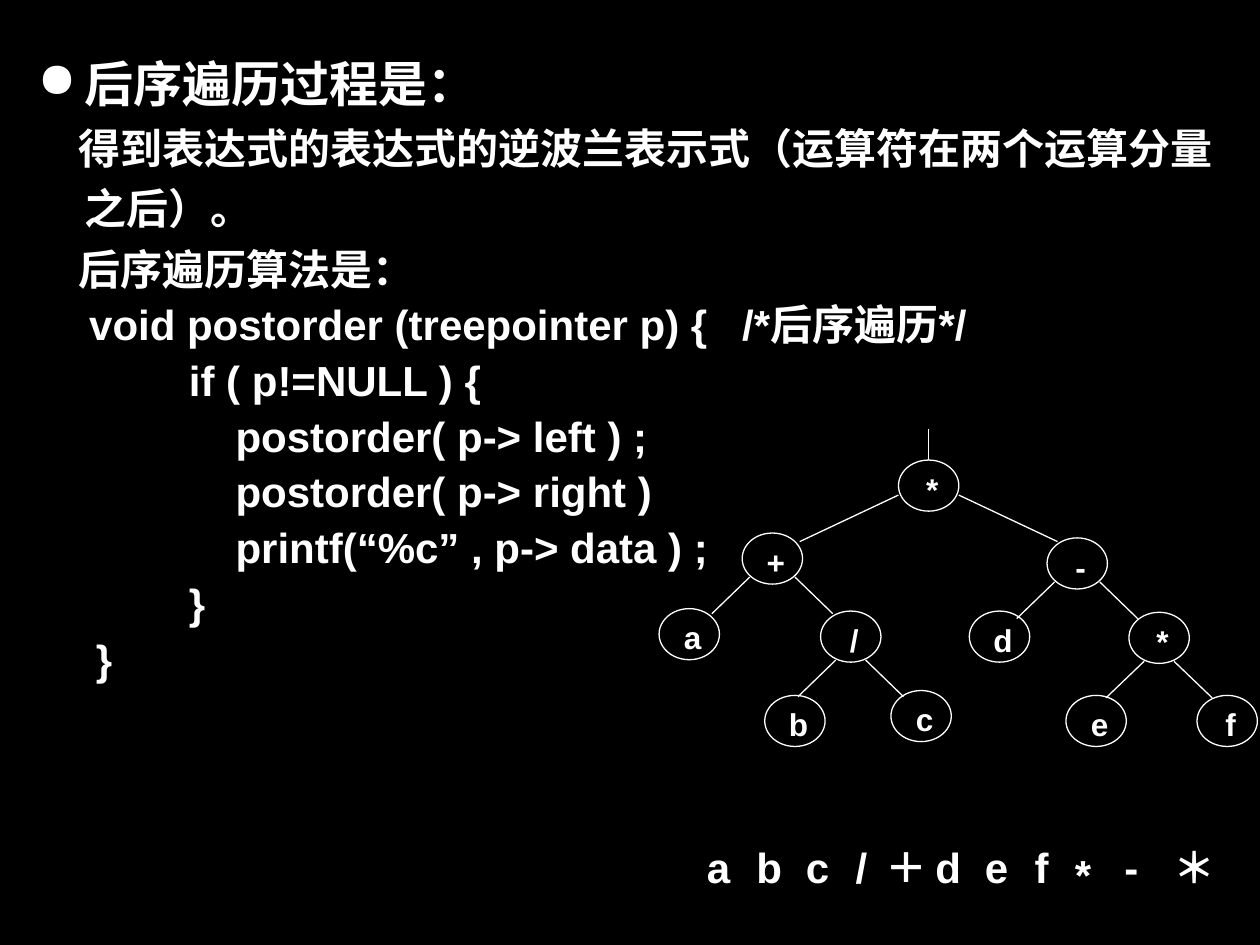
import pptx
import pptx.util
import pptx.dml.color
import pptx.enum.shapes
import pptx.enum.text
import pptx.oxml.ns
from lxml import etree

Pt = pptx.util.Pt
RGB = pptx.dml.color.RGBColor.from_string
THEME = {"back": "000000", "ink": "FFFFFF", "font": "Arial",
         "head": 28, "body": 24, "node": 18, "line": 0.75}

# Paragraph formats: first-line indent, line spacing, space before
HEAD = {"size": "head", "indent": -27, "bullet": "●",
        "format": {"line_spacing": 1.2}}
NOTE = {"size": "body", "indent": -3.5, "format": {"line_spacing": 1.2}}
CODE = {"size": "body", "indent": -27,
        "format": {"line_spacing": 0.9, "space_before": Pt(6)}}
OPEN = {**CODE, "indent": 2.5}

BODY = [
    (HEAD, "后序遍历过程是："),
    (NOTE, "得到表达式的表达式的逆波兰表示式（运算符在两个运算分量之后）。"),
    (NOTE, "后序遍历算法是："),
    (OPEN, "void postorder (treepointer p) {   /*后序遍历*/"),
    (CODE, "             if ( p!=NULL ) {"),
    (CODE, "                 postorder( p-> left ) ;"),
    (CODE, "                 postorder( p-> right )"),
    (CODE, "                 printf(“%c” , p-> data ) ;"),
    (CODE, "             }"),
    (CODE, "     }"),
]

# Tree nodes: label, left, top
NODES = [
    ("*", 513.4, 262.9), ("+", 424.1, 304.6), ("-", 598.3, 307.4),
    ("a", 376.6, 347.8), ("/", 468.9, 349.2), ("d", 553.9, 349.2),
    ("*", 645.1, 349.9), ("b", 437, 397.4), ("c", 509.1, 394.6),
    ("e", 609.1, 397.4), ("f", 684, 397.4),
]
NODE_W, NODE_H = 34.5, 29.2

# Branch pairs: parent index, side inset, drop from top, run, fall
FORKS = [
    (0, 0, 20, 56.4, 26.6), (1, 4.3, 25.2, 21.6, 20.9),
    (2, 4.3, 25.2, 21.6, 20.9), (4, 8.7, 28, 21.6, 20.9),
    (6, 8.7, 28, 21.8, 20.9),
]

# Output row: start of each group and its symbols
ROW = [(396.9, "abc/"), (499.2, "＋def"), (607.1, "*-＊")]
ROW_Y, ROW_STEP, STAR_DROP = 477.6, 28.3, 4


def put(item, values):
    for key, value in values.items():
        setattr(item, key, value)


def style(para, size):
    put(para.font, {"name": THEME["font"], "size": Pt(THEME[size]),
                    "bold": True})
    para.font.color.rgb = RGB(THEME["ink"])


def box(shapes, left, top, wide, high, pad=(7.2, 3.6)):
    frame = shapes.add_textbox(Pt(left), Pt(top), Pt(wide), Pt(high)).text_frame
    side, edge = map(Pt, pad)
    put(frame, {"word_wrap": True, "margin_left": side, "margin_right": side,
                "margin_top": edge, "margin_bottom": edge})
    return frame


def label(frame, text, size, align):
    para = frame.paragraphs[0]
    para.text, para.alignment = text, align
    style(para, size)


def pen(line):
    line.color.rgb = RGB(THEME["ink"])
    line.width = Pt(THEME["line"])


def link(shapes, x1, y1, x2, y2):
    line = shapes.add_connector(pptx.enum.shapes.MSO_CONNECTOR.STRAIGHT,
                                Pt(x1), Pt(y1), Pt(x2), Pt(y2))
    pen(line.line)
    etree.SubElement(line._element.spPr, pptx.oxml.ns.qn("a:effectLst"))


def text(shapes):
    frame = box(shapes, 14.4, 20.2, 705.6, 380.2)
    for i, (kind, words) in enumerate(BODY):
        para = frame.paragraphs[0] if i == 0 else frame.add_paragraph()
        para.text = words
        props = para._p.get_or_add_pPr()
        props.set("marL", str(Pt(27)))
        props.set("indent", str(Pt(kind["indent"])))
        if "bullet" in kind:
            mark = etree.SubElement(props, pptx.oxml.ns.qn("a:buChar"))
            mark.set("char", kind["bullet"])
        put(para, kind["format"])
        style(para, kind["size"])


def node(shapes, name, left, top):
    group = shapes.add_group_shape().shapes
    frame = box(group, left + 2, top + 4.8, NODE_W, 24.5, (0.72, 0.72))
    label(frame, name, "node", pptx.enum.text.PP_ALIGN.CENTER)
    ring = group.add_shape(pptx.enum.shapes.MSO_SHAPE.OVAL,
                           Pt(left), Pt(top), Pt(NODE_W), Pt(NODE_H))
    ring.shadow.inherit = False
    ring.fill.background()
    pen(ring.line)


def tree(shapes):
    for name, left, top in NODES:
        node(shapes, name, left, top)
    # Stem above the root
    root, left, top = NODES[0]
    mid = left + NODE_W / 2
    link(shapes, mid, top - 18, mid, top)
    # Left and right branches
    for i, inset, drop, run, fall in FORKS:
        name, left, top = NODES[i]
        y = top + drop
        for x, way in ((left + inset, -1), (left + NODE_W - inset, 1)):
            link(shapes, x, y, x + way * run, y + fall)


def row(shapes):
    for start, signs in ROW:
        for i, sign in enumerate(signs):
            top = ROW_Y + (STAR_DROP if sign == "*" else 0)
            frame = box(shapes, start + i * ROW_STEP, top, 33.8, 36)
            label(frame, sign, "body", pptx.enum.text.PP_ALIGN.LEFT)


def main():
    deck = pptx.Presentation()
    put(deck, {"slide_width": Pt(720), "slide_height": Pt(540)})
    slide = deck.slides.add_slide(deck.slide_layouts[6])
    slide.background.fill.solid()
    slide.background.fill.fore_color.rgb = RGB(THEME["back"])
    for part in (text, tree, row):
        part(slide.shapes)
    deck.save("out.pptx")


if __name__ == "__main__":
    main()
